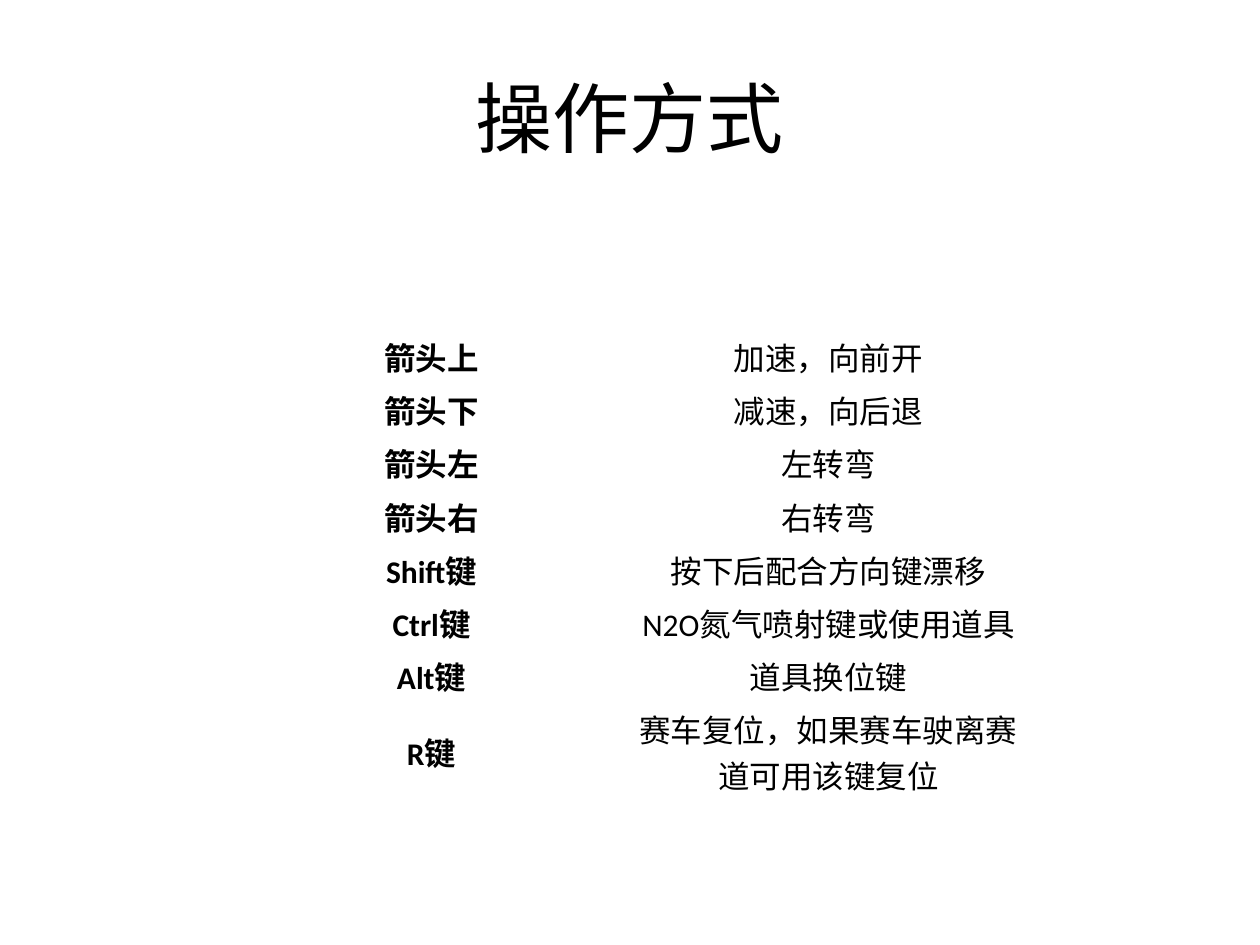
from pptx import Presentation
from pptx.dml.color import RGBColor
from pptx.enum.text import MSO_ANCHOR, PP_ALIGN
from pptx.util import Inches, Pt

BLACK = RGBColor(0x00, 0x00, 0x00)
WHITE = RGBColor(0xFF, 0xFF, 0xFF)
FONT = "Calibri"
CELL_MARGIN = Inches(0.03)

CONTROLS = [
    ("箭头上", "加速，向前开"),
    ("箭头下", "减速，向后退"),
    ("箭头左", "左转弯"),
    ("箭头右", "右转弯"),
    ("Shift键", "按下后配合方向键漂移"),
    ("Ctrl键", "N2O氮气喷射键或使用道具"),
    ("Alt键", "道具换位键"),
    ("R键", "赛车复位，如果赛车驶离赛道可用该键复位"),
]


def format_paragraph(para, size, bold=False):
    para.alignment = PP_ALIGN.CENTER
    para.font.name = FONT
    para.font.size = Pt(size)
    para.font.bold = bold
    para.font.color.rgb = BLACK


def place_title(page, text, left, top, width, height):
    title = page.shapes.title
    title.left, title.top, title.width, title.height = left, top, width, height
    title.text_frame.text = text
    title.text_frame.vertical_anchor = MSO_ANCHOR.MIDDLE
    format_paragraph(title.text_frame.paragraphs[0], 44)


def fill_cell(cell, text, bold):
    cell.text = text
    cell.fill.solid()
    cell.fill.fore_color.rgb = WHITE
    cell.vertical_anchor = MSO_ANCHOR.MIDDLE
    cell.margin_left = cell.margin_right = CELL_MARGIN
    cell.margin_top = cell.margin_bottom = CELL_MARGIN
    format_paragraph(cell.text_frame.paragraphs[0], 18, bold)


def place_controls(page, controls, left, top, width, height):
    frame = page.shapes.add_table(len(controls), 2, left, top, width, height)
    table = frame.table
    table.first_row = False
    table.horz_banding = False
    for row, (key, action) in enumerate(controls):
        fill_cell(table.cell(row, 0), key, True)
        fill_cell(table.cell(row, 1), action, False)


def main():
    deck = Presentation()
    deck.slide_width = Inches(10)
    deck.slide_height = Inches(7.5)
    page = deck.slides.add_slide(deck.slide_layouts.get_by_name("Title Only"))
    place_title(page, "操作方式", Inches(0.5), Inches(0.3), Inches(9), Inches(1.25))
    place_controls(page, CONTROLS, Inches(1.85), Inches(2.62), Inches(6.3), Inches(3.2))
    deck.save("out.pptx")


if __name__ == "__main__":
    main()
